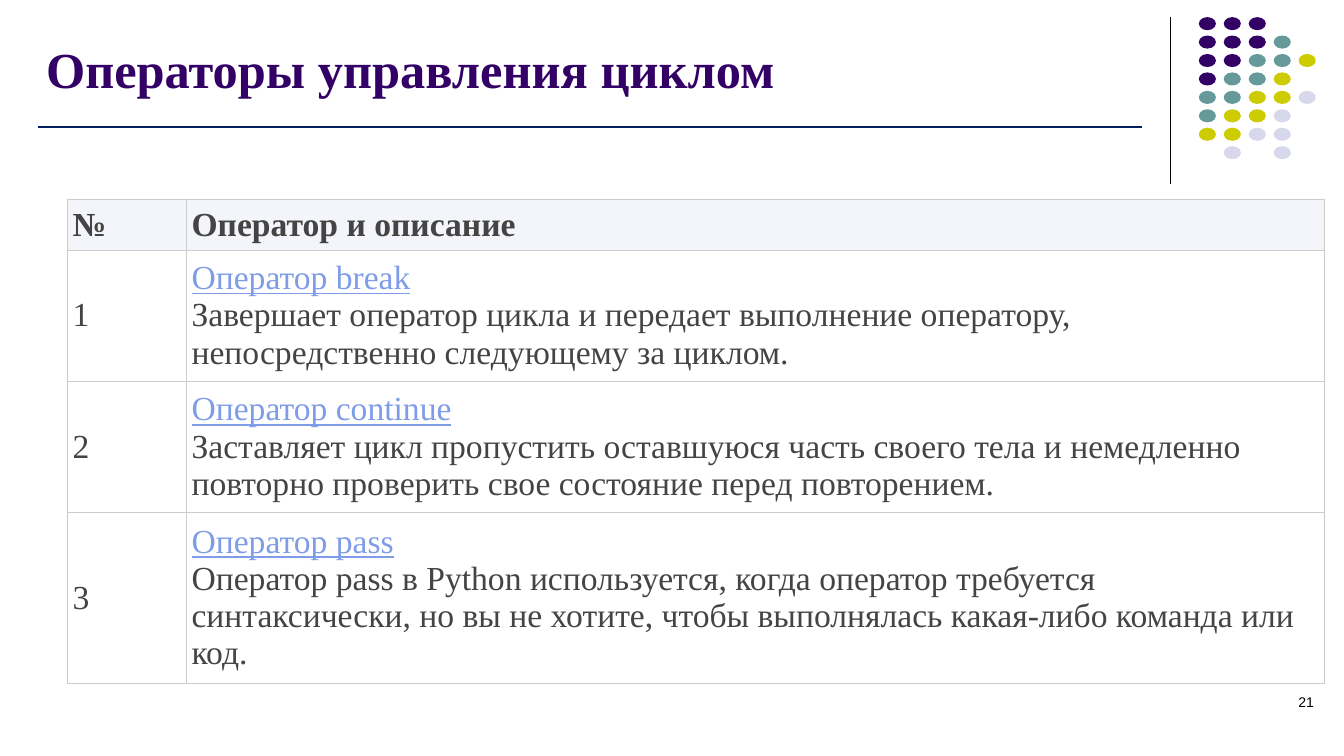
from dataclasses import dataclass

from lxml.etree import SubElement
from pptx import Presentation
from pptx.dml.color import RGBColor
from pptx.enum.shapes import MSO_CONNECTOR as Connector, MSO_SHAPE as Shape
from pptx.enum.text import MSO_ANCHOR as Anchor, PP_ALIGN as Align
from pptx.oxml import parse_xml
from pptx.oxml.ns import nsdecls, qn
from pptx.util import Inches, Pt


@dataclass(frozen=True)
class Theme:
    purple: str = "330066"
    teal: str = "669999"
    lime: str = "CCCC00"
    lavender: str = "D8D8EC"
    black: str = "000000"
    navy: str = "002060"
    body: str = "444444"
    link: str = "7E9CE8"
    header_fill: str = "F3F5FA"
    cell_fill: str = "FFFFFF"
    border: str = "CCCCCC"
    serif: str = "Times New Roman"
    sans: str = "Arial"
    title_size: int = 36
    table_size: int = 24
    number_size: int = 10
    border_width: float = 0.75


THEME = Theme()
DOT_COLORS = {"P": THEME.purple, "T": THEME.teal, "L": THEME.lime, "V": THEME.lavender}
DOT_ROWS = ("PPP", "PPPT", "PPTTL", "PTTL", "TTLLV", "TLLV", "LLVV", " V V")
HEADER = ("№", "Оператор и описание")
OPERATORS = (
    ("Оператор break",
     "Завершает оператор цикла и передает выполнение оператору, "
     "непосредственно следующему за циклом."),
    ("Оператор continue",
     "Заставляет цикл пропустить оставшуюся часть своего тела и немедленно "
     "повторно проверить свое состояние перед повторением."),
    ("Оператор pass",
     "Оператор pass в Python используется, когда оператор требуется "
     "синтаксически, но вы не хотите, чтобы выполнялась какая-либо команда или код."),
)
COLUMN_WIDTHS = (1.18, 11.29)
ROW_HEIGHTS = (0.47, 1.21, 1.21, 1.58)


def apply_format(target, values):
    for name, value in values.items():
        setattr(target, name, value)


def add_run(paragraph, text, color, **font_values):
    run = paragraph.add_run()
    run.text = text
    apply_format(run.font, font_values)
    run.font.color.rgb = RGBColor.from_string(color)


def add_rule(slide, start, end, color, width):
    line = slide.shapes.add_connector(
        Connector.STRAIGHT, *(Inches(value) for value in (*start, *end)))
    line.line.color.rgb = RGBColor.from_string(color)
    line.line.width = Pt(width)
    SubElement(line._element.spPr, qn("a:effectLst"))


def add_text(slide, box, text, color, anchor, align, **font_values):
    shape = slide.shapes.add_textbox(*(Inches(value) for value in box))
    apply_format(shape.text_frame, {"word_wrap": True, "vertical_anchor": anchor})
    paragraph = shape.text_frame.paragraphs[0]
    paragraph.alignment = align
    add_run(paragraph, text, color, **font_values)


def add_dots(slide, box):
    left, top, width, height = box
    dot_width, dot_height = 0.17, 0.13
    step_x = (width - dot_width) / 4
    step_y = (height - dot_height) / (len(DOT_ROWS) - 1)
    group = slide.shapes.add_group_shape()
    for row, codes in enumerate(DOT_ROWS):
        for column, code in enumerate(codes):
            if code not in DOT_COLORS:
                continue
            dot = group.shapes.add_shape(
                Shape.OVAL, Inches(left + column * step_x), Inches(top + row * step_y),
                Inches(dot_width), Inches(dot_height))
            dot.shadow.inherit = False
            dot.fill.solid()
            dot.fill.fore_color.rgb = RGBColor.from_string(DOT_COLORS[code])
            dot.line.fill.background()


def add_heading(slide, box):
    left, top, width, height = box
    add_text(slide, box, "Операторы управления циклом", THEME.purple,
             Anchor.BOTTOM, Align.LEFT,
             name=THEME.serif, size=Pt(THEME.title_size), bold=True)
    rule_y = top + height + 0.23
    add_rule(slide, (left + 0.02, rule_y), (left + 10.97, rule_y), THEME.navy, 1)


def add_corner(slide, box):
    left, top, width, height = box
    add_rule(slide, (left, top), (left, top + height), THEME.black, 0.75)
    add_dots(slide, (left + 0.28, top, width - 0.28, 1.41))


def format_cell(cell, fill):
    apply_format(cell, {
        "vertical_anchor": Anchor.MIDDLE,
        **{f"margin_{side}": Inches(0.05) for side in ("left", "right", "top", "bottom")},
    })
    cell.fill.solid()
    cell.fill.fore_color.rgb = RGBColor.from_string(fill)
    properties = cell._tc.get_or_add_tcPr()
    for index, side in enumerate("LRTB"):
        properties.insert(index, parse_xml(
            f'<a:ln{side} {nsdecls("a")} w="{Pt(THEME.border_width)}"><a:solidFill>'
            f'<a:srgbClr val="{THEME.border}"/></a:solidFill></a:ln{side}>'))


def add_operator_table(slide, box):
    table = slide.shapes.add_table(
        len(ROW_HEIGHTS), len(COLUMN_WIDTHS), *(Inches(value) for value in box)).table
    for column, width in zip(table.columns, COLUMN_WIDTHS):
        column.width = Inches(width)
    for row, height in zip(table.rows, ROW_HEIGHTS):
        row.height = Inches(height)
    font_values = {"name": THEME.serif, "size": Pt(THEME.table_size)}
    for column, text in enumerate(HEADER):
        cell = table.cell(0, column)
        format_cell(cell, THEME.header_fill)
        add_run(cell.text_frame.paragraphs[0], text, THEME.body, bold=True, **font_values)
    for number, (operator, description) in enumerate(OPERATORS, 1):
        number_cell, text_cell = table.cell(number, 0), table.cell(number, 1)
        for cell in (number_cell, text_cell):
            format_cell(cell, THEME.cell_fill)
        add_run(number_cell.text_frame.paragraphs[0], str(number), THEME.body,
                bold=False, **font_values)
        paragraph = text_cell.text_frame.paragraphs[0]
        add_run(paragraph, operator, THEME.link, bold=False, underline=True, **font_values)
        paragraph.add_line_break()
        add_run(paragraph, description, THEME.body, bold=False, **font_values)


def add_page_number(slide, box):
    add_text(slide, box, "21", THEME.black, Anchor.TOP, Align.RIGHT,
             name=THEME.sans, size=Pt(THEME.number_size))


def main():
    presentation = Presentation()
    apply_format(presentation, {"slide_width": Inches(13.33), "slide_height": Inches(7.5)})
    slide = presentation.slides.add_slide(presentation.slide_layouts[6])
    add_corner(slide, (11.61, 0.17, 1.44, 1.66))
    add_heading(slide, (0.36, 0.16, 11.44, 0.87))
    add_page_number(slide, (12.7, 6.83, 0.43, 0.39))
    add_operator_table(slide, (0.67, 1.98, sum(COLUMN_WIDTHS), sum(ROW_HEIGHTS)))
    presentation.save("out.pptx")


if __name__ == "__main__":
    main()
